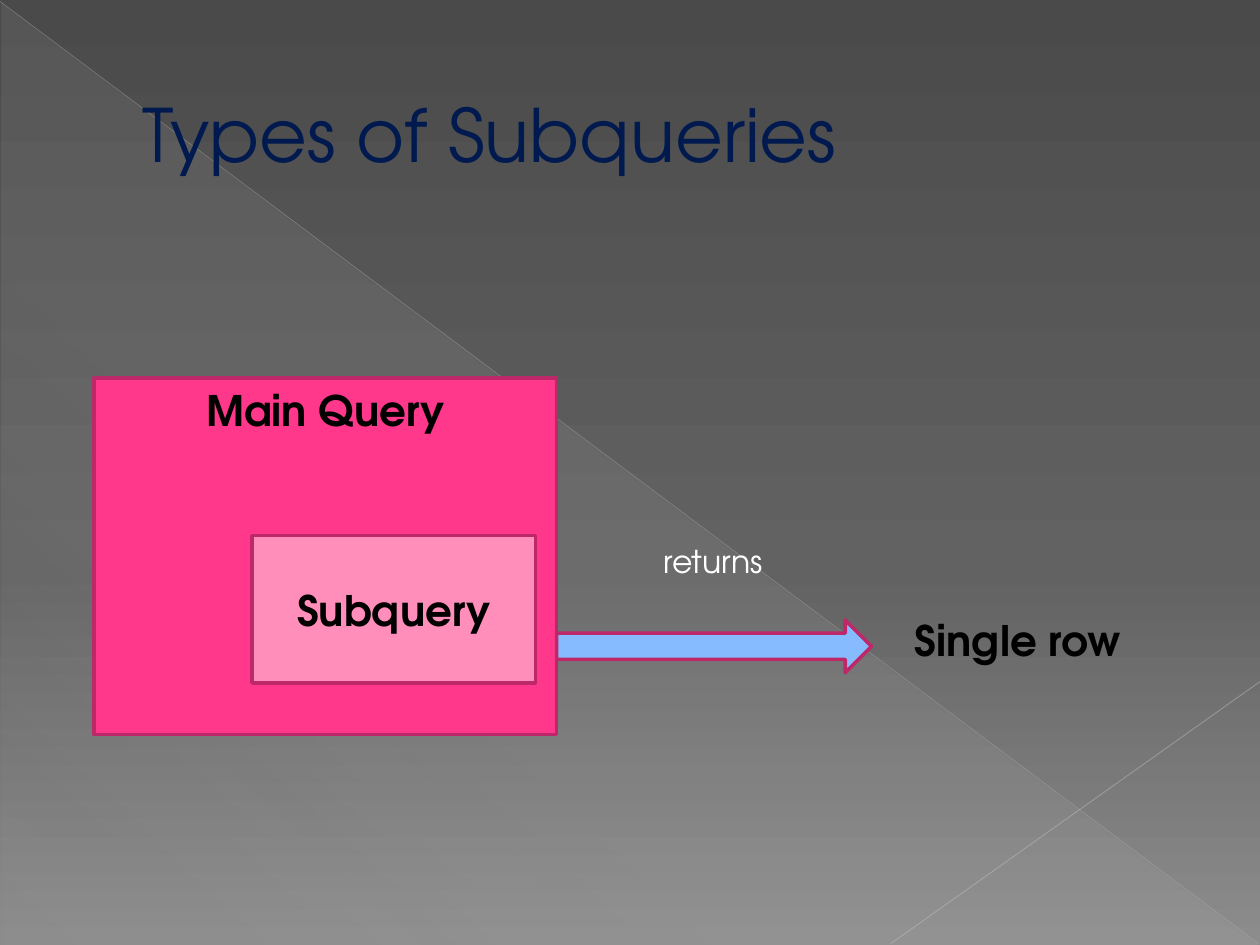
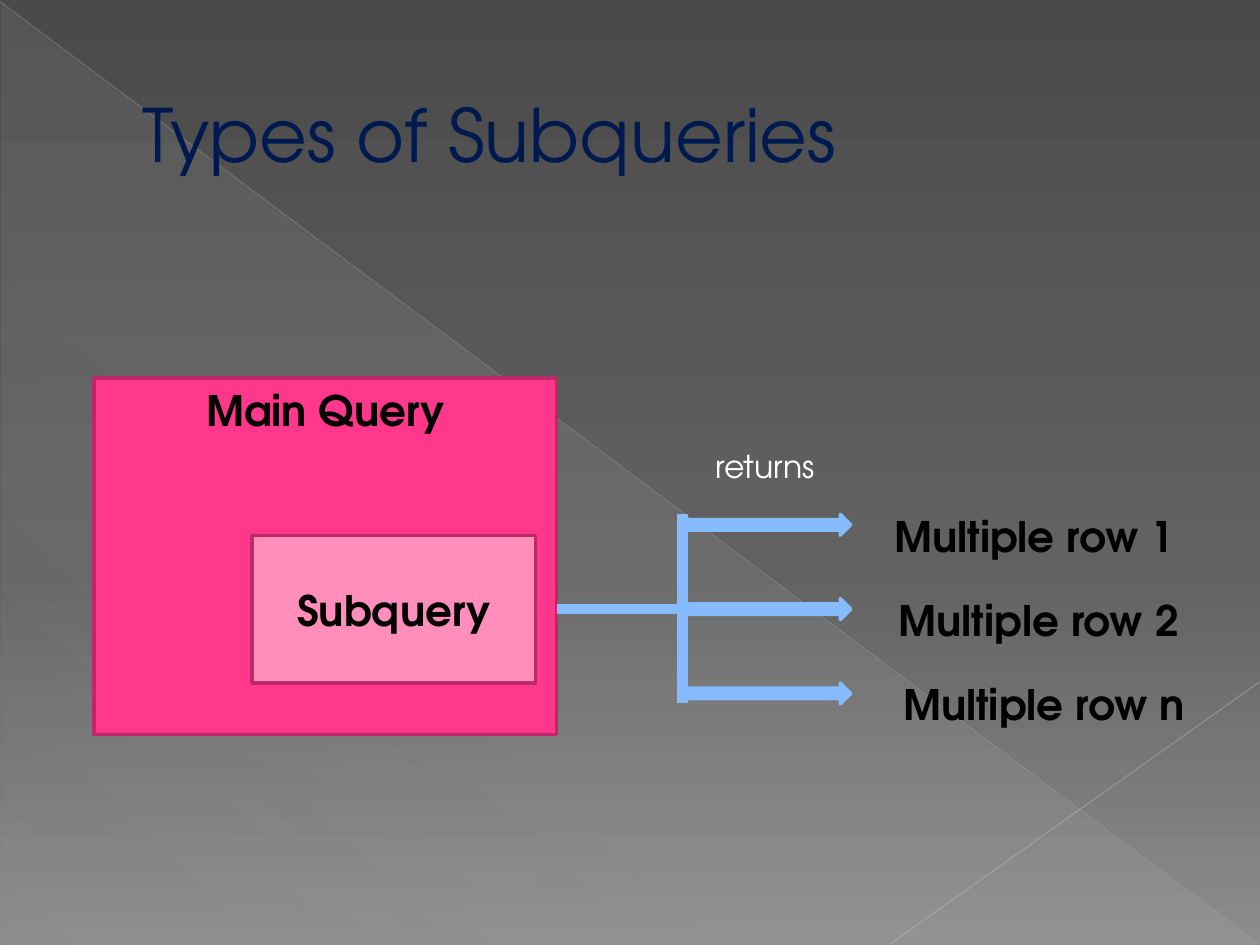
from lxml import etree
from pptx import Presentation
from pptx.dml.color import RGBColor
from pptx.enum import shapes, text
from pptx.oxml import ns
from pptx.util import Cm, Pt

FONT = "TeX Gyre Adventor"
NAVY, BLACK, WHITE = "001A4F", "000000", "FFFFFF"
PINK, PALE_PINK, ROSE, PLUM = "FF388C", "FF8EBA", "BD2968", "B12761"
SKY, GREY, SILVER, PALE_GREY = "87BBFF", "BFBFBF", "C6C6C6", "D2D2D2"

PAGE_SIZE = (25.4, 19.05)
MAIN_BOX = (1.9, 7.62, 9.32, 7.19)
TITLE_BOX = (1.27, 0.74, 22.86, 3.89)
RECTANGLE = shapes.MSO_SHAPE.RECTANGLE
RIGHT_ARROW = shapes.MSO_SHAPE.RIGHT_ARROW
MIDDLE = text.MSO_ANCHOR.MIDDLE


def lengths(*values):
    return [Cm(value) for value in values]


def rgb(colour):
    return RGBColor.from_string(colour)


def child(parent, tag, **attributes):
    return etree.SubElement(parent, ns.qn(tag), attributes)


def set_alpha(element, percent):
    """Make every colour inside the element partly transparent."""
    for colour in element.iter(ns.qn("a:srgbClr")):
        child(colour, "a:alpha", val=str(percent * 1000))


def set_gradient(properties, stops, angle):
    """Swap the solid fill for a gradient of (position, colour, opacity)."""
    gradient = etree.Element(ns.qn("a:gradFill"), rotWithShape="1")
    stop_list = child(gradient, "a:gsLst")
    for position, colour, opacity in stops:
        stop = child(stop_list, "a:gs", pos=str(position * 1000))
        child(stop, "a:srgbClr", val=colour)
        if opacity < 100:
            set_alpha(stop, opacity)
    child(gradient, "a:lin", ang=str(angle * 60000), scaled="0")
    solid = properties.find(ns.qn("a:solidFill"))
    properties.replace(solid, gradient)


def format_text(frame, words, size, colour, bold=False, align=None):
    frame.text = words
    para = frame.paragraphs[0]
    para.alignment = align
    font = para.runs[0].font
    font.name, font.size, font.bold = FONT, Pt(size), bold
    font.color.rgb = rgb(colour)


def add_filled(page, preset, box, fill, line=None, words="", anchor=None):
    shape = page.shapes.add_shape(preset, *lengths(*box))
    shape.shadow.inherit = False
    shape.fill.solid()
    shape.fill.fore_color.rgb = rgb(fill)
    if line:
        shape.line.color.rgb = rgb(line)
        shape.line.width = Pt(2)
    else:
        shape.line.fill.background()
    if words:
        format_text(shape.text_frame, words, 24, BLACK, True, text.PP_ALIGN.CENTER)
        shape.text_frame.vertical_anchor = anchor
    return shape


def add_line(page, start, end, colour, width):
    line = page.shapes.add_connector(shapes.MSO_CONNECTOR.STRAIGHT, *lengths(*start, *end))
    line.line.color.rgb = rgb(colour)
    line.line.width = Pt(width)
    child(line.element.spPr, "a:effectLst")
    return line


def add_label(page, box, words, size=24, colour=BLACK, bold=True, wrap=True):
    label = page.shapes.add_textbox(*lengths(*box))
    frame = label.text_frame
    format_text(frame, words, size, colour, bold)
    frame.word_wrap = wrap
    frame.auto_size = text.MSO_AUTO_SIZE.SHAPE_TO_FIT_TEXT


def add_returns(page, left, top):
    add_label(page, (left, top, 2.57, 1.02), "returns", 18, WHITE, bold=False, wrap=False)


def decorate_master(deck, page):
    """Give the master its backdrop, drawing the parts on a page and moving them."""
    master = deck.slide_master
    master.background.fill.solid()
    master.background.fill.fore_color.rgb = rgb(GREY)
    backdrop = master.element.find(".//" + ns.qn("p:bgPr"))
    set_gradient(backdrop, [(0, "4A4A4A", 100), (60, "626262", 100), (100, "8C8C8C", 100)], 90)

    width, height = PAGE_SIZE
    triangle = add_filled(page, shapes.MSO_SHAPE.RIGHT_TRIANGLE,
                          (0.03, 0.05, width - 0.05, height - 0.05), PALE_GREY)
    set_gradient(triangle.element.spPr,
                 [(0, PALE_GREY, 10), (70, PALE_GREY, 8), (100, PALE_GREY, 1)], 133)
    falling = add_line(page, (0, 0.03), (width - 0.03, height - 0.03), GREY, 0.39)
    rising = add_line(page, (width, 13.74), (17.96, height - 0.03), SILVER, 0.47)
    set_alpha(falling.element.spPr, 35)
    set_alpha(rising.element.spPr, 45)
    for offset, part in enumerate((triangle, falling, rising)):
        part.element.find(".//" + ns.qn("p:cNvPr")).set("id", str(100 + offset))
        master.shapes.element.insert(2 + offset, part.element)


def add_title(page, words):
    title = page.shapes.title
    title.left, title.top, title.width, title.height = lengths(*TITLE_BOX)
    frame = title.text_frame
    format_text(frame, words, 42, NAVY, align=text.PP_ALIGN.LEFT)
    frame.vertical_anchor = MIDDLE
    frame.auto_size = text.MSO_AUTO_SIZE.NONE
    para = frame.paragraphs[0]
    indent = para._p.get_or_add_pPr()
    indent.set("marL", str(Cm(1.35)))
    indent.set("indent", "0")
    properties = para.runs[0].font._element
    outline = etree.Element(ns.qn("a:ln"), w=str(Pt(0.5)))
    child(child(outline, "a:solidFill"), "a:srgbClr", val=PLUM)
    properties.insert(0, outline)


def add_query(page, box):
    """Draw the main query with the subquery nested inside it."""
    left, top = box[:2]
    add_filled(page, RECTANGLE, box, PINK, ROSE, "Main Query", text.MSO_ANCHOR.TOP)
    add_filled(page, RECTANGLE, (left + 3.18, top + 3.18, 5.72, 2.97),
               PALE_PINK, ROSE, "Subquery", MIDDLE)


def add_single_result(page, box):
    left, top, width, _ = box
    right = left + width
    add_label(page, (right + 6.97, top + 4.65, 4.93, 1.27), "Single row")
    add_filled(page, RIGHT_ARROW, (right, top + 4.88, 6.35, 1.06), SKY, ROSE)
    add_returns(page, right + 1.91, top + 3.18)


def add_multiple_results(page, box, rows):
    """Fan out from the query box to one arrow and label per row."""
    left, top, width, _ = box
    right = left + width
    spine, fan_top, step = right + 2.54, top + 2.75, 1.7
    trunk = top + 4.66
    add_line(page, (right, trunk), (spine, trunk), SKY, 6)
    add_line(page, (spine, fan_top), (spine, fan_top + 3.81), SKY, 6)
    for index in range(len(rows)):
        add_filled(page, RIGHT_ARROW, (spine, fan_top + index * step, 3.39, 0.42), SKY, SKY)
    add_returns(page, spine + 0.42, top + 1.27)
    for index, row in enumerate(rows):
        add_label(page, (spine + 4.02 + index * 0.09, top + 2.54 + index * step, 7.19, 1.27), row)


def add_page(deck):
    title_only = deck.slide_layouts[5]
    page = deck.slides.add_slide(title_only)
    add_title(page, "Types of Subqueries")
    add_query(page, MAIN_BOX)
    return page


def main():
    deck = Presentation()
    deck.slide_width, deck.slide_height = lengths(*PAGE_SIZE)
    single = add_page(deck)
    decorate_master(deck, single)
    add_single_result(single, MAIN_BOX)
    multiple = add_page(deck)
    add_multiple_results(multiple, MAIN_BOX, [f"Multiple row {mark}" for mark in "12n"])
    deck.save("out.pptx")


if __name__ == "__main__":
    main()
